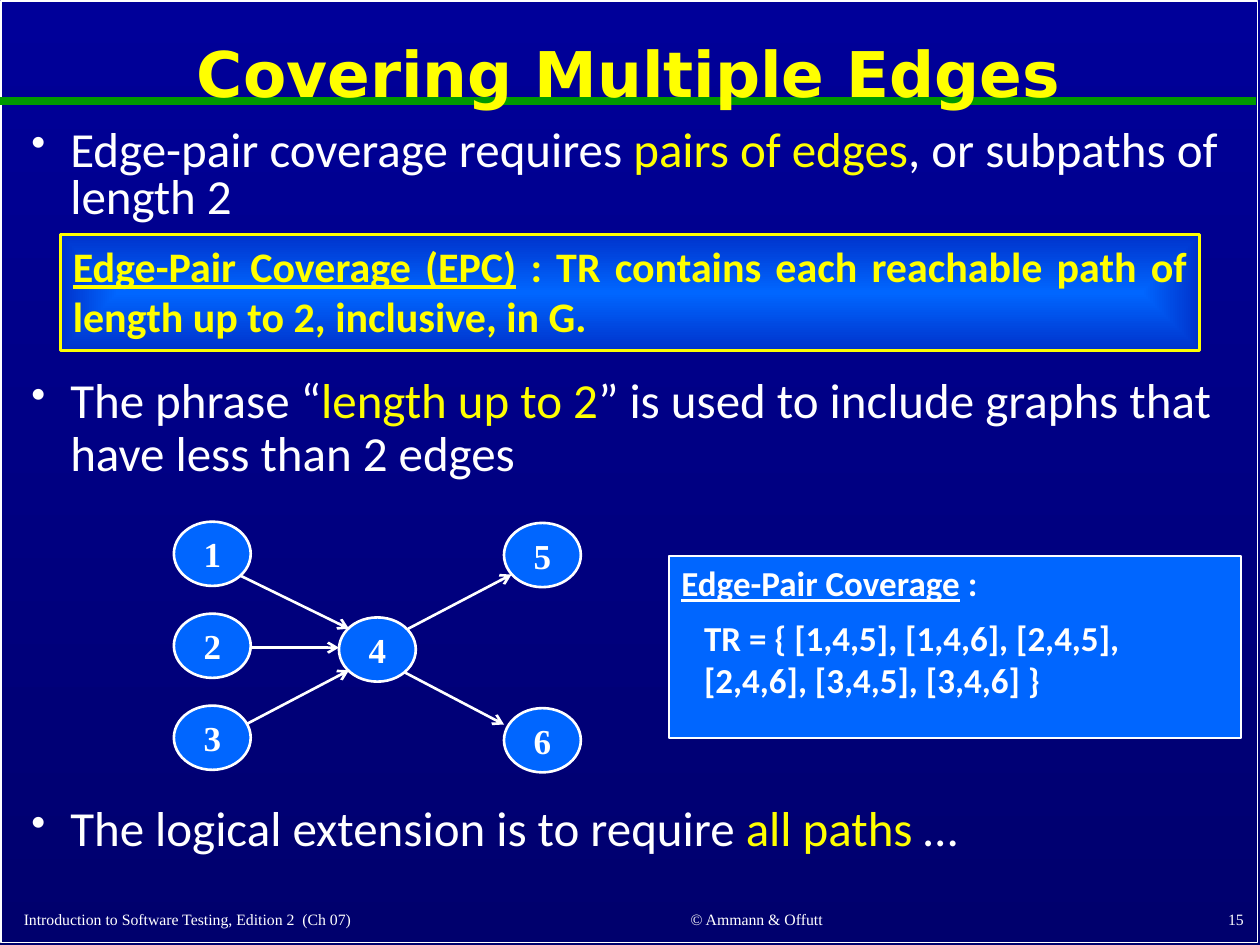
from dataclasses import dataclass

from lxml import etree
from pptx import Presentation
from pptx import util as u
from pptx.dml.color import RGBColor
from pptx.enum import shapes, text
from pptx.oxml import ns


@dataclass(frozen=True)
class Theme:
    white: RGBColor = RGBColor(0xFF, 0xFF, 0xFF)
    yellow: RGBColor = RGBColor(0xFF, 0xFF, 0x00)
    green: RGBColor = RGBColor(0x00, 0x99, 0x00)
    blue: RGBColor = RGBColor(0x00, 0x66, 0xFF)
    deep_blue: RGBColor = RGBColor(0x00, 0x33, 0xCC)
    sky_top: RGBColor = RGBColor(0x00, 0x00, 0x99)
    sky_bottom: RGBColor = RGBColor(0x00, 0x00, 0x6D)
    title_font: str = "DejaVu Sans"
    body_font: str = "Calibri"
    serif_font: str = "Times New Roman"
    title_size: int = 36
    body_size: int = 28
    definition_size: int = 24
    label_size: int = 20
    footer_size: int = 9


theme = Theme()
align = text.PP_ALIGN
anchor = text.MSO_ANCHOR


def write(shape, runs, font, size, alignment=align.LEFT, vertical=anchor.TOP,
          bold=False, wrap=True):
    """Fill a shape with one paragraph of (text, colour, underlined) runs."""
    frame = shape.text_frame
    frame.word_wrap = wrap
    frame.vertical_anchor = vertical
    paragraph = frame.paragraphs[0]
    paragraph.alignment = alignment
    for words, color, underlined in runs:
        run = paragraph.add_run()
        run.text = words
        run.font.name = font
        run.font.size = u.Pt(size)
        run.font.bold = bold
        run.font.underline = underlined
        run.font.color.rgb = color
    return paragraph


def add_line(start, end, color, width, arrow=False):
    """Draw a straight line without shadow, with an optional arrowhead."""
    points = [u.Inches(value) for value in (*start, *end)]
    line = slide.shapes.add_connector(shapes.MSO_CONNECTOR.STRAIGHT, *points)
    line.line.color.rgb = color
    line.line.width = u.Pt(width)
    if arrow:
        etree.SubElement(line.line._get_or_add_ln(), ns.qn("a:tailEnd"), type="arrow")
    etree.SubElement(line._element.spPr, ns.qn("a:effectLst"))


presentation = Presentation()
presentation.slide_width = u.Inches(10)
presentation.slide_height = u.Inches(7.5)
slide = presentation.slides.add_slide(presentation.slide_layouts[5])

# Background
background = slide.background.fill
background.gradient()
background.gradient_angle = 270
for stop, color in zip(background.gradient_stops, (theme.sky_top, theme.sky_bottom)):
    stop.color.rgb = color

# Slide frame and rule
border = slide.shapes.add_shape(
    shapes.MSO_SHAPE.RECTANGLE, u.Inches(0.01), u.Inches(0.01), u.Inches(9.97), u.Inches(7.47))
border.shadow.inherit = False
border.fill.background()
border.line.color.rgb = theme.white
border.line.width = u.Pt(1)
add_line((0, 0.8), (9.97, 0.8), theme.green, 4.5)

# Title, in front of the rule
title = slide.shapes.title
title.left, title.top = u.Inches(0.09), u.Inches(0.11)
title.width, title.height = u.Inches(9.8), u.Inches(1)
paragraph = write(title, [("Covering Multiple Edges", theme.yellow, False)], theme.title_font,
                  theme.title_size, align.CENTER, anchor.MIDDLE, bold=True)
paragraph.line_spacing = 0.9
title._element.getparent().append(title._element)

# Footer
footers = [
    (0.09, 7.12, 4.12, 0.3, "Introduction to Software Testing, Edition 2\u00a0 (Ch 07)".replace("\u00a0", " "),
     align.LEFT),
    (4.42, 7.11, 3.17, 0.31, "© Ammann & Offutt", align.CENTER),
    (7.89, 7.1, 2.08, 0.32, "15", align.RIGHT),
]
for left, top, width, height, words, alignment in footers:
    footer = slide.shapes.add_textbox(
        u.Inches(left), u.Inches(top), u.Inches(width), u.Inches(height))
    write(footer, [(words, theme.white, False)], theme.serif_font, theme.footer_size,
          alignment, anchor.BOTTOM)

# Bullets: plain start, highlighted words, plain end
bullets = [
    (0.98, 0.73, 0.8, "Edge-pair coverage requires ", "pairs of edges", ", or subpaths of length 2"),
    (2.94, 0.83, 0.9, "The phrase “", "length up to 2",
     "” is used to include graphs that have less than 2 edges"),
    (6.33, 0.48, 0.9, "The logical extension is to require ", "all paths", " …"),
]
for top, height, spacing, before, highlight, after in bullets:
    bullet = slide.shapes.add_textbox(
        u.Inches(0.15), u.Inches(top), u.Inches(9.7), u.Inches(height))
    runs = [(before, theme.white, False), (highlight, theme.yellow, False),
            (after, theme.white, False)]
    paragraph = write(bullet, runs, theme.body_font, theme.body_size)
    paragraph.line_spacing = spacing
    properties = paragraph._p.get_or_add_pPr()
    properties.set("marL", str(u.Inches(0.31)))
    properties.set("indent", str(-u.Inches(0.31)))
    etree.SubElement(properties, ns.qn("a:buSzPct"), val="85000")
    etree.SubElement(properties, ns.qn("a:buChar"), char="•")

# Definition box with a gradient that spreads from its centre
definition = slide.shapes.add_shape(
    shapes.MSO_SHAPE.RECTANGLE, u.Inches(0.48), u.Inches(1.86), u.Inches(9.04), u.Inches(0.92))
definition.shadow.inherit = False
definition.line.color.rgb = theme.yellow
definition.line.width = u.Pt(1.5)
definition.fill.gradient()
for stop, color in zip(definition.fill.gradient_stops, (theme.blue, theme.deep_blue)):
    stop.color.rgb = color
gradient = definition._element.spPr.find(ns.qn("a:gradFill"))
gradient.remove(gradient.find(ns.qn("a:lin")))
spread = etree.SubElement(gradient, ns.qn("a:path"), path="shape")
etree.SubElement(spread, ns.qn("a:fillToRect"), l="50000", t="50000", r="50000", b="50000")
write(definition,
      [("Edge-Pair Coverage (EPC)", theme.yellow, True),
       (" : TR contains each reachable path of length up to 2, inclusive, in G.",
        theme.yellow, False)],
      theme.body_font, theme.definition_size, align.JUSTIFY, bold=True)

# Graph edges
edges = [
    ((1.89, 4.56), (2.77, 4.99)),
    ((1.99, 5.14), (2.69, 5.14)),
    ((1.95, 5.75), (2.77, 5.32)),
    ((3.24, 4.99), (4.06, 4.56)),
    ((3.18, 5.32), (4, 5.75)),
]
for start, end in edges:
    add_line(start, end, theme.white, 1.5, arrow=True)

# Graph nodes: three equally spaced columns
node_columns = [
    [("1", 4.14), ("2", 4.87), ("3", 5.6)],
    [("4", 4.9)],
    [("5", 4.15), ("6", 5.62)],
]
for column, nodes in enumerate(node_columns):
    for label, top in nodes:
        node = slide.shapes.add_shape(
            shapes.MSO_SHAPE.OVAL, u.Inches(1.38 + 1.31 * column), u.Inches(top),
            u.Inches(0.61), u.Inches(0.51))
        node.shadow.inherit = False
        node.fill.solid()
        node.fill.fore_color.rgb = theme.blue
        node.line.color.rgb = theme.white
        node.line.width = u.Pt(1.5)
        write(node, [(label, theme.white, False)], theme.serif_font, theme.label_size,
              align.CENTER, anchor.MIDDLE, bold=True, wrap=False)

# Test requirements panel
panel = slide.shapes.add_shape(
    shapes.MSO_SHAPE.RECTANGLE, u.Inches(5.31), u.Inches(4.41), u.Inches(4.54), u.Inches(1.45))
panel.shadow.inherit = False
panel.fill.solid()
panel.fill.fore_color.rgb = theme.blue
panel.line.color.rgb = theme.white
panel.line.width = u.Pt(1)
write(panel, [("Edge-Pair Coverage", theme.white, True), (" :", theme.white, False)],
      theme.body_font, theme.label_size, bold=True)
requirements = slide.shapes.add_textbox(
    u.Inches(5.49), u.Inches(4.84), u.Inches(4.03), u.Inches(0.77))
write(requirements,
      [("TR = { [1,4,5], [1,4,6], [2,4,5], [2,4,6], [3,4,5], [3,4,6] }", theme.white, False)],
      theme.body_font, theme.label_size, bold=True)

presentation.save("out.pptx")
